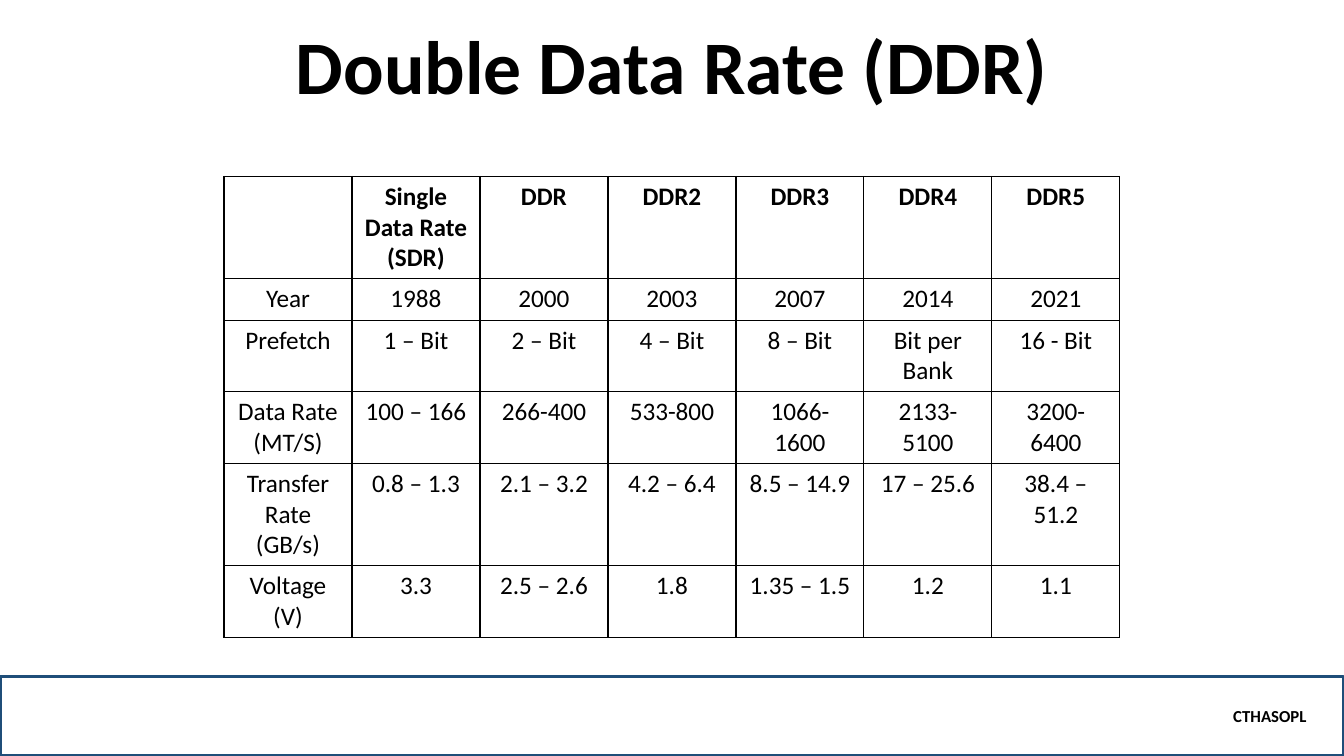
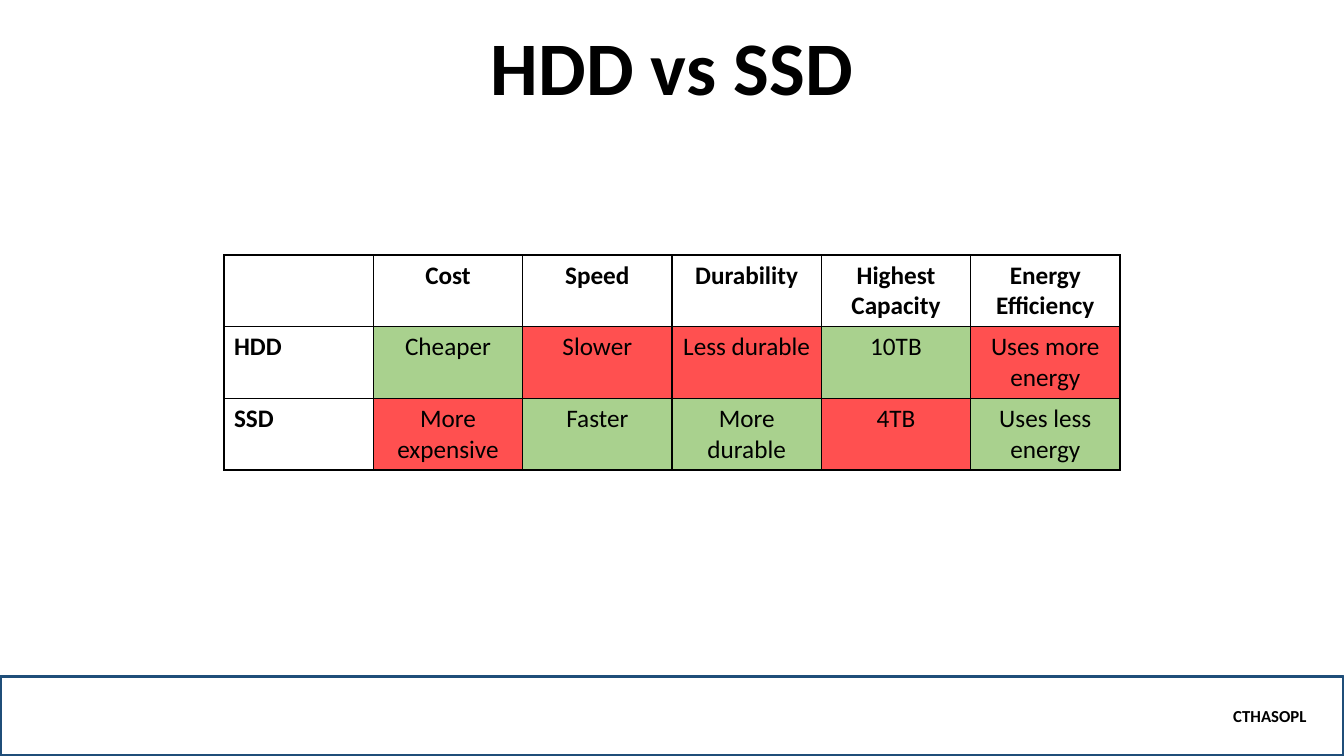
from lxml.etree import SubElement
from pptx import Presentation
from pptx.dml.color import RGBColor
from pptx.enum.shapes import MSO_SHAPE
from pptx.enum.text import MSO_ANCHOR, MSO_AUTO_SIZE, PP_ALIGN
from pptx.oxml.ns import qn
from pptx.util import Inches, Pt

BLACK = RGBColor(0x00, 0x00, 0x00)
NAVY = RGBColor(0x1F, 0x4E, 0x79)
GREEN = RGBColor(0xA9, 0xD1, 0x8E)
RED = RGBColor(0xFF, 0x50, 0x50)

WIDTH, HEIGHT = Inches(13.33), Inches(7.5)
TABLE_WIDTH = WIDTH * 2 // 3
ROW_HEIGHT = Inches(0.41)
FOOTER_HEIGHT = Inches(0.79)
FOOTER_TEXT = "CTHASOPL"

TITLE_FONT = dict(name="Calibri", size=Pt(54), bold=True)
FOOTER_FONT = dict(name="Calibri", size=Pt(12), bold=True)
HEAD_FONT = dict(name="Calibri", size=Pt(18), bold=True)
BODY_FONT = dict(HEAD_FONT, bold=False)

DDR_ROWS = [
    ["", "Single Data Rate (SDR)", "DDR", "DDR2", "DDR3", "DDR4", "DDR5"],
    ["Year", "1988", "2000", "2003", "2007", "2014", "2021"],
    ["Prefetch", "1 – Bit", "2 – Bit", "4 – Bit", "8 – Bit", "Bit per Bank", "16 - Bit"],
    ["Data Rate (MT/S)", "100 – 166", "266-400", "533-800", "1066-1600", "2133-5100",
     "3200-6400"],
    ["Transfer Rate (GB/s)", "0.8 – 1.3", "2.1 – 3.2", "4.2 – 6.4", "8.5 – 14.9",
     "17 – 25.6", "38.4 – 51.2"],
    ["Voltage (V)", "3.3", "2.5 – 2.6", "1.8", "1.35 – 1.5", "1.2", "1.1"],
]
DRIVE_ROWS = [
    ["", "Cost", "Speed", "Durability", "Highest Capacity", "Energy Efficiency"],
    ["HDD", "Cheaper", "Slower", "Less durable", "10TB", "Uses more energy"],
    ["SSD", "More expensive", "Faster", "More durable", "4TB", "Uses less energy"],
]
DRIVE_WINNERS = ["HDD", "SSD", "SSD", "HDD", "SSD"]


def write(tf, text, font, align):
    p = tf.paragraphs[0]
    p.text, p.alignment = text, align
    for key, value in font.items():
        setattr(p.font, key, value)
    p.font.color.rgb = BLACK
    return p


def add_title(s, text, top):
    title = s.shapes.title
    title.left, title.top = WIDTH // 8, top
    title.width, title.height = WIDTH * 3 // 4, Inches(0.94)
    tf = title.text_frame
    tf.auto_size, tf.vertical_anchor = MSO_AUTO_SIZE.NONE, MSO_ANCHOR.BOTTOM
    write(tf, text, TITLE_FONT, PP_ALIGN.CENTER).line_spacing = 0.9


def add_footer(s):
    band = s.shapes.add_shape(MSO_SHAPE.RECTANGLE, 0, HEIGHT - FOOTER_HEIGHT,
                              WIDTH, FOOTER_HEIGHT)
    band.shadow.inherit = False
    band.fill.background()
    band.line.color.rgb, band.line.width = NAVY, Pt(2.25)
    tf = band.text_frame
    tf.margin_right, tf.vertical_anchor = Inches(0.37), MSO_ANCHOR.MIDDLE
    write(tf, FOOTER_TEXT, FOOTER_FONT, PP_ALIGN.RIGHT)


def add_borders(cell):
    tc_pr = cell._tc.get_or_add_tcPr()
    for side in ("a:lnL", "a:lnR", "a:lnT", "a:lnB"):
        line = SubElement(tc_pr, qn(side), w=str(Pt(1)))
        fill = SubElement(line, qn("a:solidFill"))
        SubElement(fill, qn("a:srgbClr"), val=str(BLACK))


def add_grid(s, rows, top, winners=None):
    """Add a bordered table; winners names the best row of each data column."""
    n_rows, n_cols = len(rows), len(rows[0])
    table = s.shapes.add_table(n_rows, n_cols, (WIDTH - TABLE_WIDTH) // 2, top,
                               TABLE_WIDTH, ROW_HEIGHT * n_rows).table
    table.first_row = table.horz_banding = False
    for i, row in enumerate(rows):
        for j, text in enumerate(row):
            cell = table.cell(i, j)
            add_borders(cell)
            cell.fill.background()
            row_label = winners and i and j == 0
            if winners and i and j:
                cell.fill.solid()
                cell.fill.fore_color.rgb = GREEN if winners[j - 1] == row[0] else RED
            write(cell.text_frame, text,
                  HEAD_FONT if i == 0 or row_label else BODY_FONT,
                  PP_ALIGN.LEFT if row_label else PP_ALIGN.CENTER)


def add_table_slide(prs, title, title_top, rows, table_top, winners=None):
    s = prs.slides.add_slide(prs.slide_layouts.get_by_name("Title Only"))
    add_title(s, title, title_top)
    add_footer(s)
    add_grid(s, rows, table_top, winners)


def main():
    prs = Presentation()
    prs.slide_width, prs.slide_height = WIDTH, HEIGHT
    add_table_slide(prs, "Double Data Rate (DDR)", Inches(0.21), DDR_ROWS, Inches(1.75))
    add_table_slide(prs, "HDD vs SSD", Inches(0.22), DRIVE_ROWS, Inches(2.53),
                    DRIVE_WINNERS)
    prs.save("out.pptx")


if __name__ == "__main__":
    main()
